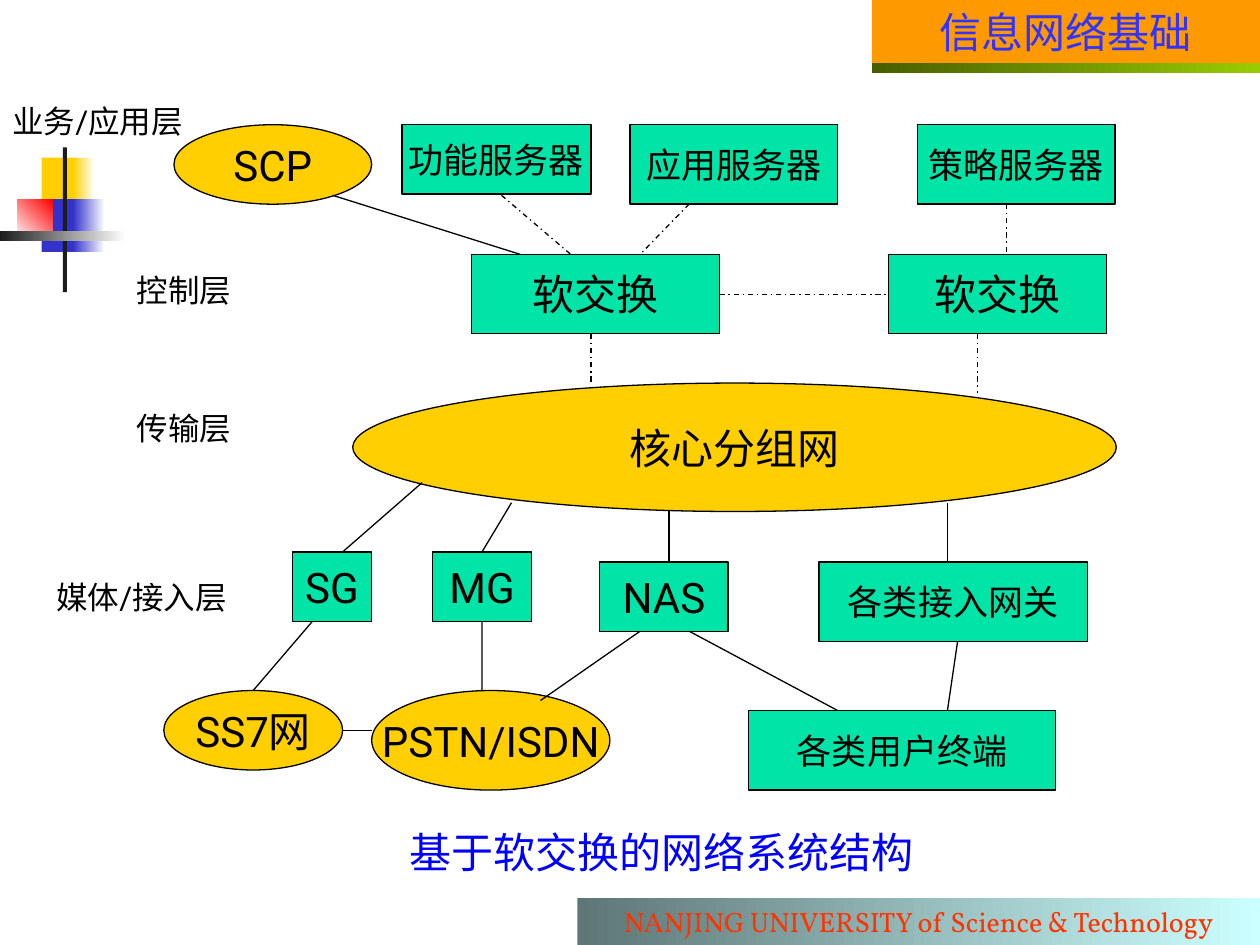
from lxml import etree
from pptx import Presentation
from pptx.dml.color import RGBColor
from pptx.enum.dml import MSO_LINE
from pptx.enum.shapes import MSO_CONNECTOR, MSO_SHAPE
from pptx.enum.text import MSO_ANCHOR, PP_ALIGN
from pptx.oxml.ns import qn
from pptx.util import Pt

RECT, OVAL = MSO_SHAPE.RECTANGLE, MSO_SHAPE.OVAL
STRAIGHT = MSO_CONNECTOR.STRAIGHT
DASH_DOT = MSO_LINE.DASH_DOT
CENTER = PP_ALIGN.CENTER
TOP, MIDDLE = MSO_ANCHOR.TOP, MSO_ANCHOR.MIDDLE

SANS, SERIF = "Roboto", "Vollkorn"
BLACK, YELLOW, GREEN, NAVY = "000000", "FFCF01", "00E4A8", "3333CC"
TITLE_ONLY = 5

# Tops and heights shared by the rows of the diagram
SERVER_Y, SWITCH_Y, GATE_Y, ACCESS_Y, NET_Y = 71.3, 145.4, 315.4, 321.1, 394.6
LOW, HIGH = 39.6, 45.4

# key: (text, left, top, width, height, size)
NETWORKS = {
    "core": ("核心分组网", 201.6, 218.9, 436.3, 73.4, 24),
    "scp": ("SCP", 99.4, SERVER_Y, 113, HIGH, 24),
    "ss7": ("SS7网", 93.6, NET_Y, 102.2, HIGH, 24),
    "pstn": ("PSTN/ISDN", 212.4, NET_Y, 136.1, 56.9, 24),
}
NODES = {
    "function": ("功能服务器", 229.7, SERVER_Y, 108, LOW, 20),
    "application": ("应用服务器", 360, SERVER_Y, 118.8, HIGH, 20),
    "switch_a": ("软交换", 269.3, SWITCH_Y, 141.8, HIGH, 24),
    "policy": ("策略服务器", 524.2, SERVER_Y, 113, HIGH, 20),
    "switch_b": ("软交换", 507.6, SWITCH_Y, 124.6, HIGH, 24),
    "sg": ("SG", 167, GATE_Y, 45.4, LOW, 24),
    "mg": ("MG", 247, GATE_Y, 56.9, LOW, 24),
    "nas": ("NAS", 342.7, ACCESS_Y, 73.4, LOW, 24),
    "access": ("各类接入网关", 468, ACCESS_Y, 153.4, HIGH, 20),
    "terminal": ("各类用户终端", 427.7, 406.1, 175.7, HIGH, 20),
}
LAYERS = [  # text, left, top, width
    ("业务/应用层", -31, 54.7, 173.5),
    ("控制层", 43.9, 151.2, 122.4),
    ("传输层", 43.9, 230.4, 122.4),
    ("媒体/接入层", -5.8, 326.9, 173.5),
]

# x1, y1, x2, y2
DASHED_LINKS = [
    (286.6, 111.6, 326.2, 145.4),  # function server - switch
    (393.8, 116.6, 365.8, 145.4),  # application server - switch
    (575.3, 116.6, 575.3, 145.4),  # policy server - switch
    (337.7, 190.8, 337.7, 218.9),  # switches - core
    (558.7, 190.8, 558.7, 224.6),
]
SOLID_LINKS = [
    (190.1, 111.6, 297.4, 145.4),  # SCP - switch
    (241.2, 275.8, 195.8, 315.4),  # core - gateways
    (382.3, 292.3, 382.3, 321.1),
    (541.4, 287.3, 541.4, 321.1),
    (178.6, 355, 144.7, 394.6),    # gateways - networks and terminals
    (365.8, 360.7, 308.9, 400.3),
    (393.8, 360.7, 478.8, 406.1),
    (547.2, 366.5, 541.4, 406.1),
    (195.8, 417.6, 212.4, 417.6),  # SS7 - PSTN
]


def rgb(color):
    return RGBColor.from_string(color)


def set_text(s, text, size, color=BLACK, font=SANS, anchor=TOP, wrap=True):
    tf = s.text_frame
    tf.text = text
    tf.word_wrap = wrap
    tf.vertical_anchor = anchor
    p = tf.paragraphs[0]
    p.alignment = CENTER
    r = p.runs[0]
    r.font.size, r.font.name = Pt(size), font
    r.font.color.rgb = rgb(color)


def add_block(slide, box, *colors, shape=RECT, angle=0, outlined=False):
    """Shape with a solid fill for one colour, a gradient for two."""
    s = slide.shapes.add_shape(shape, *map(Pt, box))
    s.shadow.inherit = False
    if len(colors) == 1:
        s.fill.solid()
        s.fill.fore_color.rgb = rgb(colors[0])
    else:
        s.fill.gradient()
        s.fill.gradient_angle = angle
        for stop, color, position in zip(s.fill.gradient_stops, colors, (0, 1)):
            stop.color.rgb = rgb(color)
            stop.position = position
    if outlined:
        s.line.color.rgb = rgb(BLACK)
        s.line.width = Pt(0.75)
    else:
        s.line.fill.background()
    return s


def add_node(slide, node, color, shape):
    text, *box, size = node
    s = add_block(slide, box, color, shape=shape, outlined=True)
    set_text(s, text, size, anchor=MIDDLE, wrap=False)
    return s


def add_link(slide, ends=(0, 0, 0, 0), dashed=False):
    c = slide.shapes.add_connector(STRAIGHT, *map(Pt, ends))
    c.line.color.rgb = rgb(BLACK)
    c.line.width = Pt(0.75)
    if dashed:
        c.line.dash_style = DASH_DOT
    etree.SubElement(c._element.spPr, qn("a:effectLst"))
    return c


def add_ornament(slide):
    add_block(slide, (23.8, 90, 20.9, 27.4), YELLOW)
    add_block(slide, (41.8, 90, 12.2, 30.2), YELLOW, "FFFFFF")
    add_block(slide, (23.8, 113.8, 18, 30.2), NAVY)
    add_block(slide, (41.8, 113.8, 18, 30.2), NAVY, "FFFFFF")
    add_block(slide, (10, 113.8, 20.2, 23.8), "FFFFFF", "FF0000", angle=45)
    add_block(slide, (36, 84.2, 2.2, 82.8), "1C1C1C")
    add_block(slide, (0, 131.8, 72, 5.8), "1C1C1C", "FFFFFF")


def add_banners(slide):
    s = add_block(slide, (498.2, 0, 221.8, 36), "FF9900")
    set_text(s, "信息网络基础", 24, "3333FF")
    s = add_block(slide, (330, 513.4, 390, 26.6), "5E7676", "CCFFFF")
    set_text(s, "NANJING UNIVERSITY of Science & Technology", 16, "FF3300", SERIF)
    add_block(slide, (498.2, 36, 221.8, 5.8), "475E00", "99CC00")


def add_title(slide):
    s = slide.shapes.title
    s.left, s.top, s.width, s.height = map(Pt, (192, 468.7, 372.2, 36))
    set_text(s, "基于软交换的网络系统结构", 24, "0000FF")


def main():
    prs = Presentation()
    prs.slide_width, prs.slide_height = Pt(720), Pt(540)
    slide = prs.slides.add_slide(prs.slide_layouts[TITLE_ONLY])

    # Frame of the slide
    add_ornament(slide)
    add_banners(slide)
    add_title(slide)

    # Networks, nodes and layer names
    for network in NETWORKS.values():
        add_node(slide, network, YELLOW, OVAL)
    nodes = {key: add_node(slide, node, GREEN, RECT) for key, node in NODES.items()}
    for text, left, top, width in LAYERS:
        s = slide.shapes.add_textbox(Pt(left), Pt(top), Pt(width), Pt(28.8))
        set_text(s, text, 18, wrap=False)

    # Links with free ends
    for ends in DASHED_LINKS:
        add_link(slide, ends, dashed=True)
    for ends in SOLID_LINKS:
        add_link(slide, ends)

    # Links joined to the middle of a side
    c = add_link(slide, dashed=True)
    c.begin_connect(nodes["switch_a"], 3)
    c.end_connect(nodes["switch_b"], 1)
    add_link(slide, (292.3, 287.3, 275, 315.4)).end_connect(nodes["mg"], 0)
    add_link(slide, (275, 355, 275.4, 394.6)).begin_connect(nodes["mg"], 2)

    prs.save("out.pptx")


if __name__ == "__main__":
    main()
